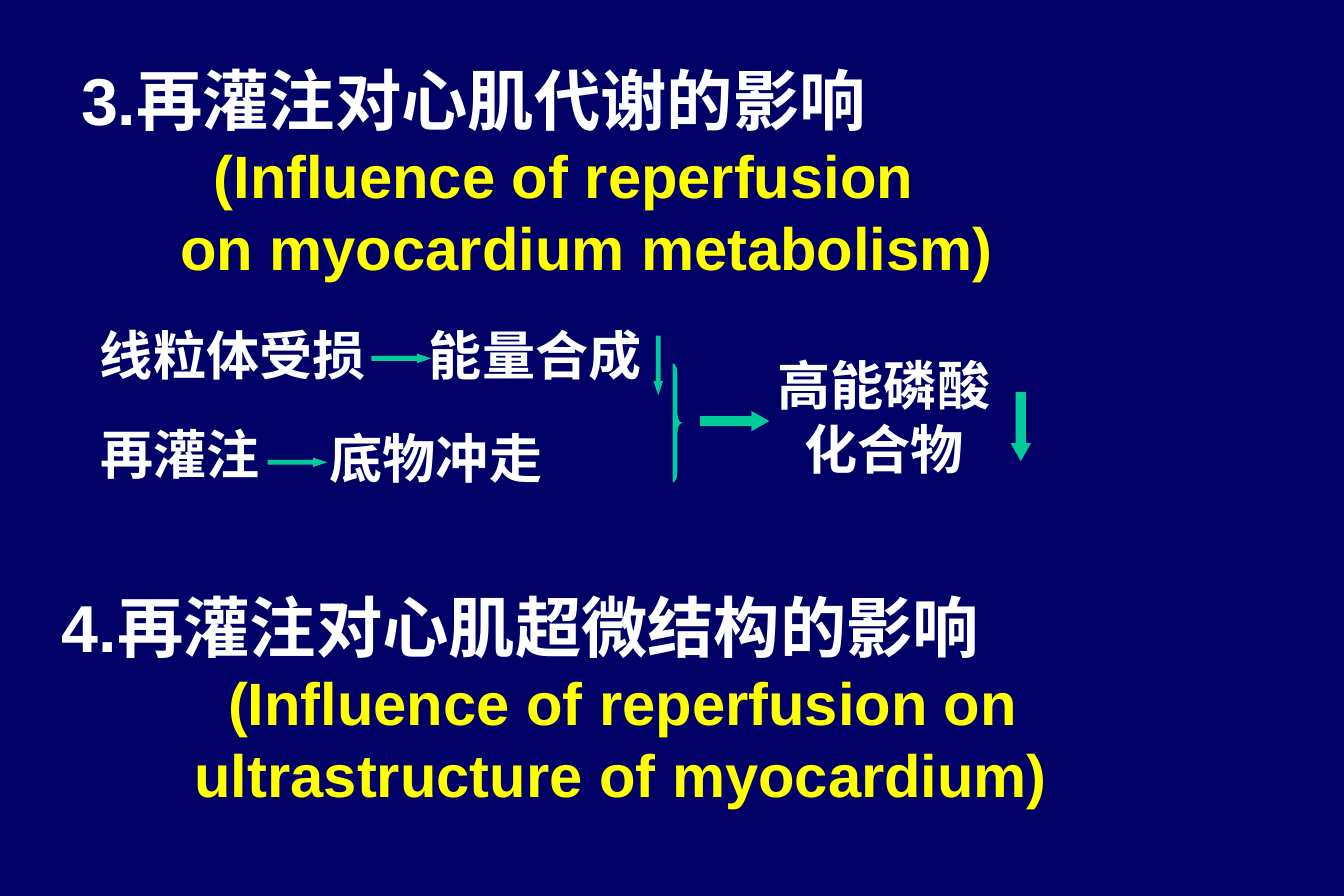
import lxml.etree
import pptx
import pptx.dml.color
import pptx.enum.shapes
import pptx.enum.text
import pptx.oxml.ns
import pptx.util

PX = 9144
WHITE, YELLOW, GREEN, NAVY = "FFFFFF", "FFFF00", "00CC99", "000066"
CHINESE_FONT = "Noto Sans CJK JP"
SHAPES = pptx.enum.shapes.MSO_SHAPE


def px(length):
    """Turn whole px into EMU."""
    return pptx.util.Emu(length * PX)


def paint(target, colour):
    """Give a fill or font colour format a solid hex colour."""
    target.rgb = pptx.dml.color.RGBColor.from_string(colour)


def format_span(span, font, size, colour):
    """Set the look of a run, with the Chinese font for its Chinese letters."""
    span.font.name = font
    span.font.size = pptx.util.Pt(size)
    span.font.bold = True
    paint(span.font.color, colour)
    properties = span.font._element
    east = lxml.etree.SubElement(properties, pptx.oxml.ns.qn("a:ea"))
    east.set("typeface", CHINESE_FONT)


def add_text(page, box, wrap):
    """Add a text box that grows with its text and return its frame."""
    frame = page.shapes.add_textbox(*map(px, box)).text_frame
    frame.word_wrap = wrap
    frame.auto_size = pptx.enum.text.MSO_AUTO_SIZE.SHAPE_TO_FIT_TEXT
    return frame


def add_heading(page, box, number, title, subtitle):
    """Write a numbered Chinese title above indented English lines."""
    frame = add_text(page, box, True)
    para = frame.paragraphs[0]
    for text, font in ((number, "Arial"), (title, CHINESE_FONT)):
        span = para.add_run()
        span.text = text
        format_span(span, font, 40, WHITE)
    for text, indent in subtitle:
        para = frame.add_paragraph()
        para.text = text
        para._p.get_or_add_pPr().set("marL", str(px(indent)))
        format_span(para.runs[0], "Arial", 36, YELLOW)


def add_label(page, box, text):
    """Write a centred label of one or more lines."""
    frame = add_text(page, box, False)
    frame.text = text
    for para in frame.paragraphs:
        para.alignment = pptx.enum.text.PP_ALIGN.CENTER
        format_span(para.runs[0], "Times New Roman", 32, WHITE)


def add_mark(page, kind, box, adjustments):
    """Add a plain green arrow or brace."""
    shape = page.shapes.add_shape(kind, *map(px, box))
    shape.shadow.inherit = False
    for index, value in enumerate(adjustments):
        shape.adjustments[index] = value
    shape.fill.solid()
    paint(shape.fill.fore_color, GREEN)
    shape.line.fill.background()


def add_metabolism_diagram(page, box):
    """Show two causes joined by a brace and leading to one effect."""
    left, top, width, height = box
    labels = (
        (0, 0, 246, 64, "线粒体受损"),
        (275, 0, 202, 64, "能量合成"),
        (0, 83, 157, 64, "再灌注"),
        (192, 86, 202, 64, "底物冲走"),
        (width - 202, 25, 202, 117, "高能磷酸\n化合物"),
    )
    for x, y, wide, high, text in labels:
        add_label(page, (left + x, top + y, wide, high), text)
    thin, thick = (0.5, 1.5), (0.5, 0.88)
    marks = (
        (SHAPES.RIGHT_ARROW, 239, 31, 50, 8, thin),
        (SHAPES.RIGHT_ARROW, 152, 118, 50, 8, thin),
        (SHAPES.DOWN_ARROW, 475, 16, 8, 50, thin),
        (SHAPES.RIGHT_BRACE, 491, 39, 8, 100, (1.04, 0.5)),
        (SHAPES.RIGHT_ARROW, 514, 79, 58, 17, thick),
        (SHAPES.DOWN_ARROW, width + 5, 63, 17, 58, thick),
    )
    for kind, x, y, wide, high, adjustments in marks:
        add_mark(page, kind, (left + x, top + y, wide, high), adjustments)


def main():
    """Build the slide on reperfusion and save it."""
    deck = pptx.Presentation()
    deck.slide_width, deck.slide_height = px(1125), px(750)
    page = deck.slides.add_slide(deck.slide_layouts[6])
    page.background.fill.solid()
    paint(page.background.fill.fore_color, NAVY)
    add_heading(page, (58, 45, 875, 197), "3.", "再灌注对心肌代谢的影响", (
        ("(Influence of reperfusion", 111),
        ("on myocardium metabolism)", 83),
    ))
    add_metabolism_diagram(page, (72, 265, 769, 150))
    add_heading(page, (42, 486, 908, 197), "4.", "再灌注对心肌超微结构的影响", (
        ("(Influence of reperfusion on", 139),
        ("ultrastructure of myocardium)", 111),
    ))
    deck.save("out.pptx")


if __name__ == "__main__":
    main()
